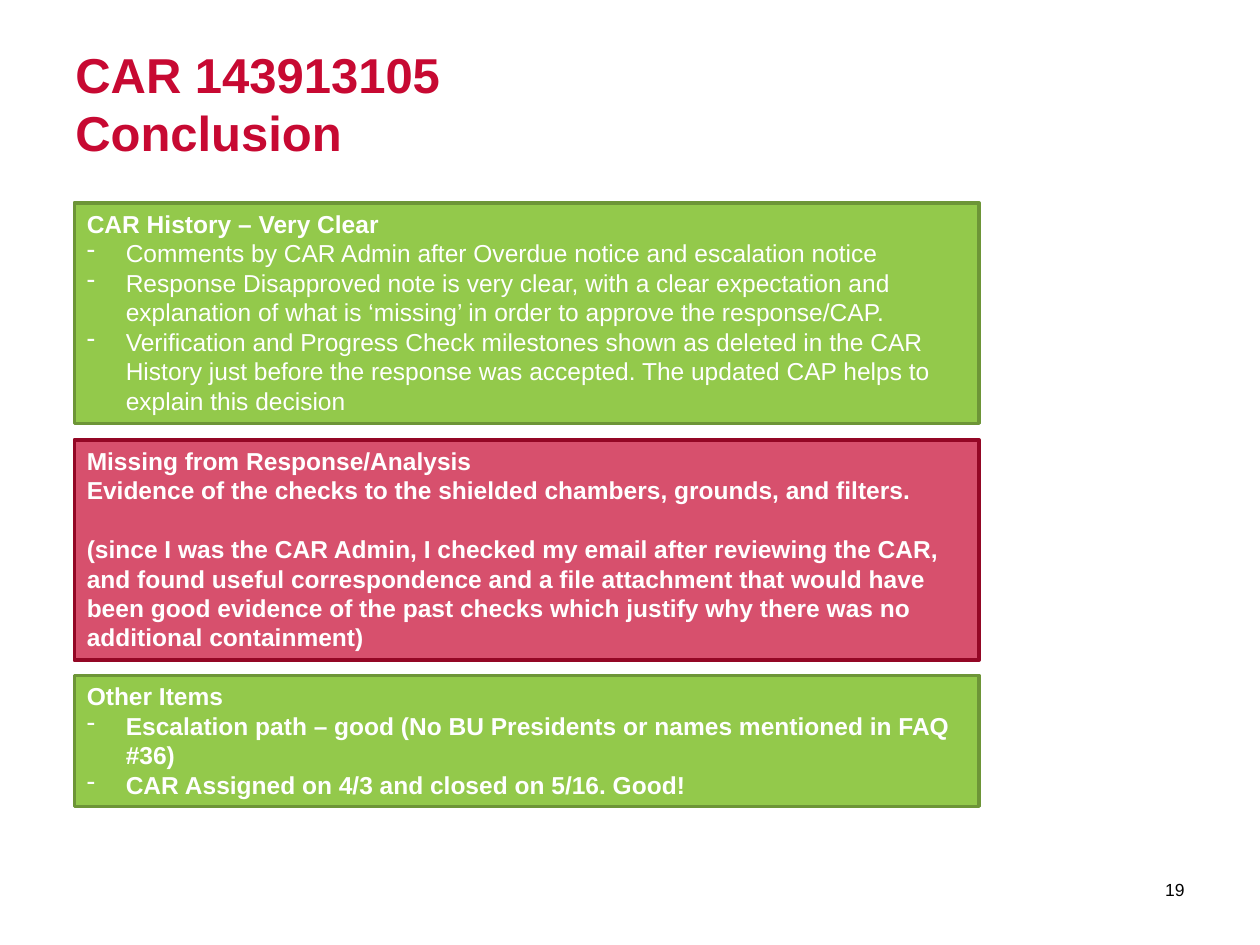
from dataclasses import dataclass

import pptx
import pptx.dml.color
import pptx.enum.shapes
import pptx.enum.text
import pptx.oxml
import pptx.oxml.ns
import pptx.util
from pptx.util import Inches

Align = pptx.enum.text.PP_ALIGN
Anchor = pptx.enum.text.MSO_ANCHOR
RED, GREEN, WHITE = "C70932", "93C94B", "FFFFFF"
INDENT = Inches(0.31)


@dataclass
class Line:
    text: str
    bold: bool = True
    bullet: bool = False
    gap: float = 0


@dataclass
class Panel:
    top: float
    height: float
    fill: str
    edge: str
    lines: list[Line]
    alpha: int = 100


def rgb(code: str) -> pptx.dml.color.RGBColor:
    return pptx.dml.color.RGBColor.from_string(code)


def add_mark(para) -> None:
    """Give the paragraph a hanging dash."""
    props = para._p.get_or_add_pPr()
    props.set("marL", str(INDENT))
    props.set("indent", str(-INDENT))
    mark = pptx.oxml.ns.qn("a:buChar")
    props.append(props.makeelement(mark, {"char": "-"}))


def write(shape, lines: list[Line], *, size: float, color: str,
          align=Align.LEFT, anchor=Anchor.TOP) -> None:
    frame = shape.text_frame
    frame.word_wrap = True
    frame.vertical_anchor = anchor
    for i, line in enumerate(lines):
        para = frame.add_paragraph() if i else frame.paragraphs[0]
        para.text = line.text
        para.alignment = align
        if line.gap:
            para.space_before = pptx.util.Pt(line.gap)
        if line.bullet:
            add_mark(para)
        for font in [para.font] + [run.font for run in para.runs]:
            font.name = "Arial"
            font.size = pptx.util.Pt(size)
            font.bold = line.bold
            font.color.rgb = rgb(color)


def add_panel(slide, panel: Panel) -> None:
    box = slide.shapes.add_shape(
        pptx.enum.shapes.MSO_SHAPE.RECTANGLE, Inches(0.59),
        Inches(panel.top), Inches(7.18), Inches(panel.height))
    box.shadow.inherit = False
    box.fill.solid()
    box.fill.fore_color.rgb = rgb(panel.fill)
    if panel.alpha < 100:
        tint = box._element.spPr.find(".//" + pptx.oxml.ns.qn("a:srgbClr"))
        name = pptx.oxml.ns.qn("a:alpha")
        tint.append(tint.makeelement(name, {"val": str(panel.alpha * 1000)}))
    box.line.color.rgb = rgb(panel.edge)
    box.line.width = pptx.util.Pt(2)
    write(box, panel.lines, size=14, color=WHITE)


PANELS = [
    Panel(1.61, 1.75, GREEN, "6D9537", [
        Line("CAR History – Very Clear"),
        Line("Comments by CAR Admin after Overdue notice and escalation "
             "notice", bold=False, bullet=True),
        Line("Response Disapproved note is very clear, with a clear "
             "expectation and explanation of what is ‘missing’ in order to "
             "approve the response/CAP.", bold=False, bullet=True),
        Line("Verification and Progress Check milestones shown as deleted in "
             "the CAR History just before the response was accepted. The "
             "updated CAP helps to explain this decision",
             bold=False, bullet=True),
    ]),
    Panel(3.49, 1.75, RED, "930725", [
        Line("Missing from Response/Analysis"),
        Line("Evidence of the checks to the shielded chambers, grounds, and "
             "filters."),
        Line("(since I was the CAR Admin, I checked my email after reviewing "
             "the CAR, and found useful correspondence and a file attachment "
             "that would have been good evidence of the past checks which "
             "justify why there was no additional containment)", gap=16.8),
    ], alpha=71),
    Panel(5.36, 1.04, GREEN, "6D9537", [
        Line("Other Items"),
        Line("Escalation path – good (No BU Presidents or names mentioned in "
             "FAQ #36)", bullet=True),
        Line("CAR Assigned on 4/3 and closed on 5/16. Good!", bullet=True),
    ]),
]


def main() -> None:
    deck = pptx.Presentation()
    deck.slide_width, deck.slide_height = Inches(10), Inches(7.5)
    slide = deck.slides.add_slide(deck.slide_layouts[6])
    title = slide.shapes.add_textbox(
        Inches(0.5), Inches(0.3), Inches(9), Inches(0.59))
    write(title, [Line("CAR 143913105\vConclusion")], size=28, color=RED)
    for panel in PANELS:
        add_panel(slide, panel)
    number = slide.shapes.add_textbox(
        Inches(8.8), Inches(6.86), Inches(0.7), Inches(0.4))
    write(number, [Line("19", bold=False)], size=10, color="000000",
          align=Align.RIGHT, anchor=Anchor.MIDDLE)
    deck.save("out.pptx")


if __name__ == "__main__":
    main()
